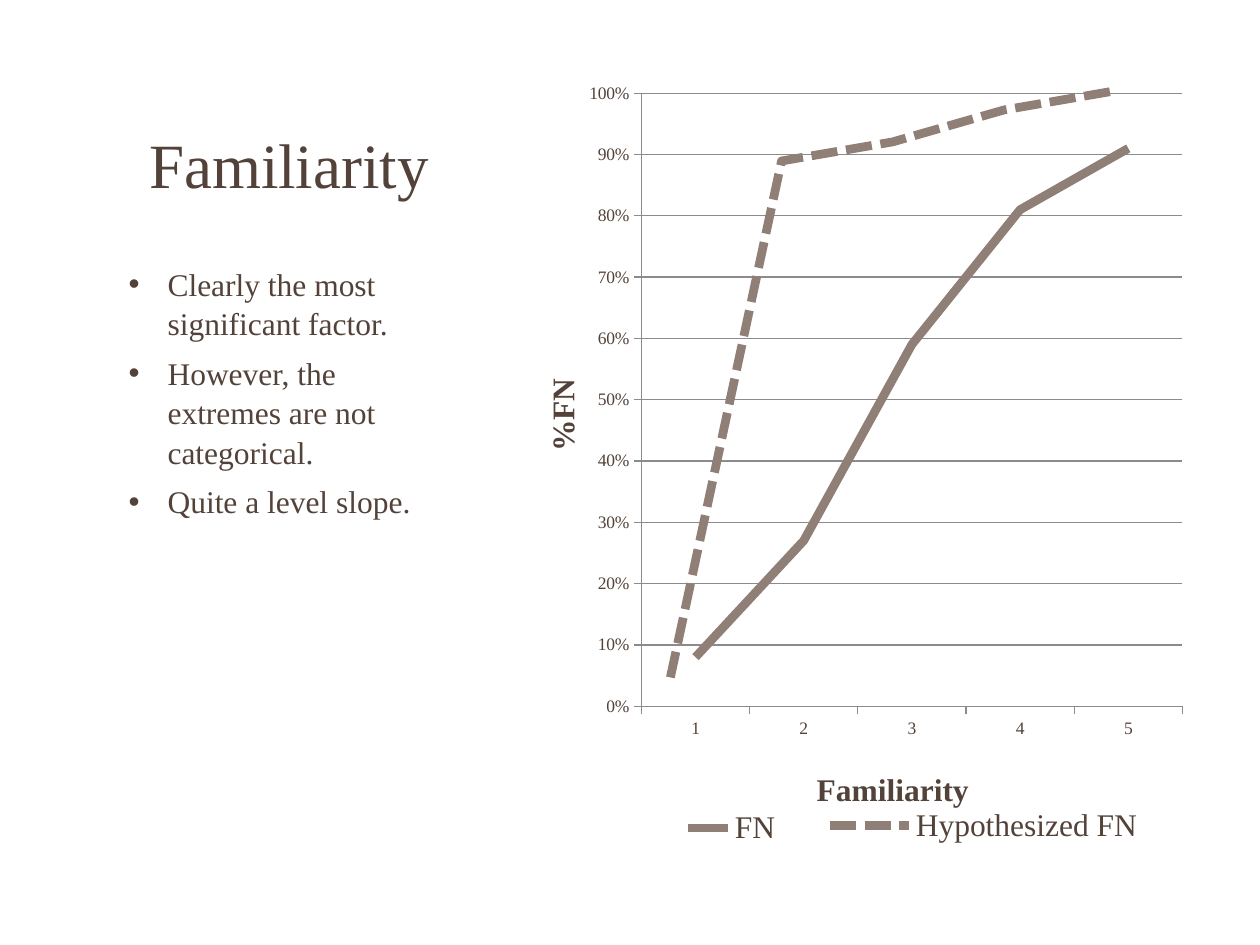
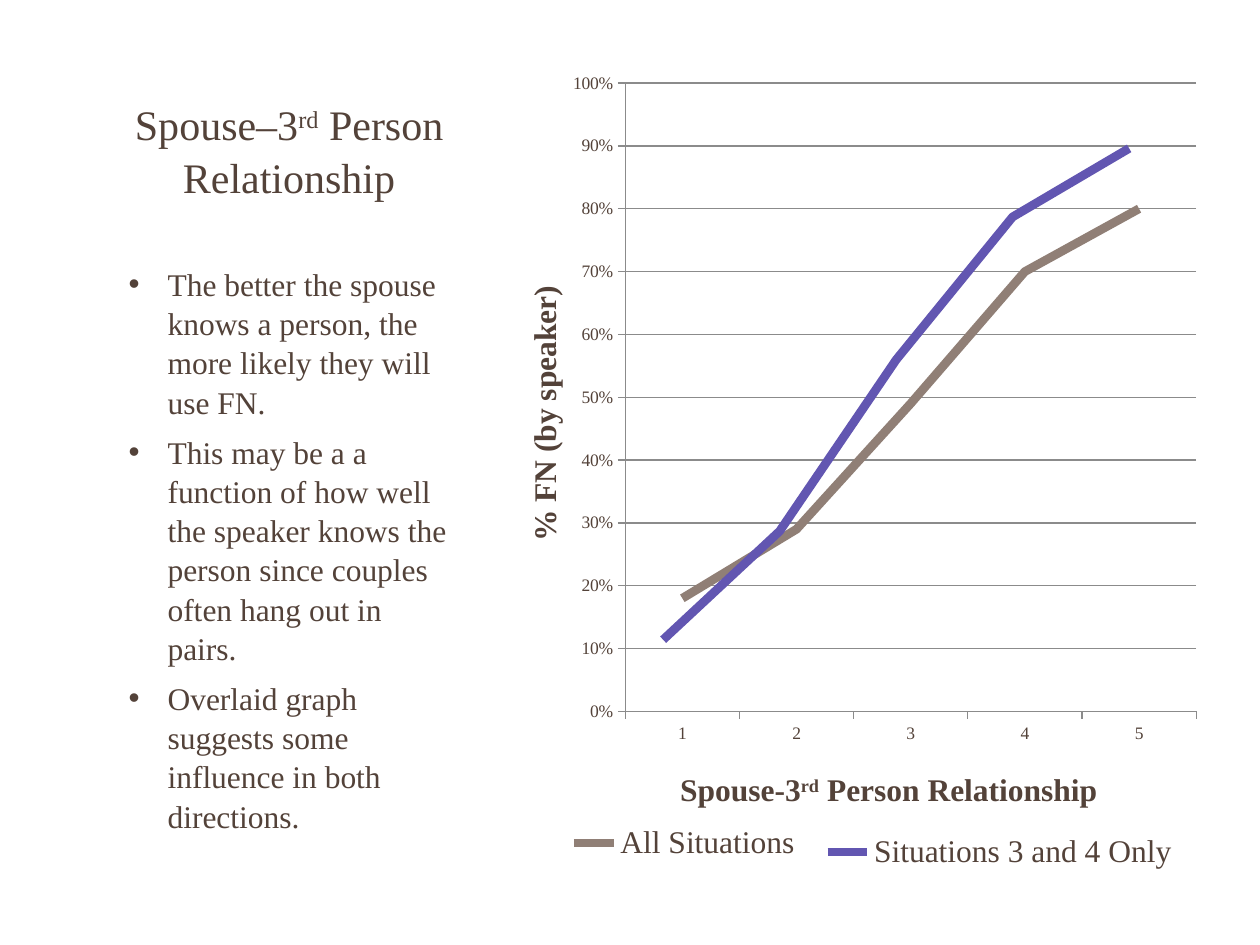
from lxml.etree import SubElement
from pptx import Presentation
from pptx.chart.data import CategoryChartData
from pptx.dml.color import RGBColor
from pptx.enum.chart import XL_CHART_TYPE, XL_LEGEND_POSITION, XL_TICK_MARK
from pptx.enum.dml import MSO_LINE
from pptx.enum.text import MSO_ANCHOR, MSO_AUTO_SIZE, PP_ALIGN
from pptx.oxml import parse_xml
from pptx.oxml.ns import nsdecls, qn
from pptx.util import Inches, Pt

BROWN = RGBColor(0x53, 0x42, 0x39)
TAUPE = RGBColor(0x90, 0x7F, 0x76)
VIOLET = RGBColor(0x62, 0x56, 0xB1)
GRID_GREY = RGBColor(0x8B, 0x8B, 0x8B)
WHITE = RGBColor(0xFF, 0xFF, 0xFF)
FONT = "Times New Roman"
SLIDE_WIDTH, SLIDE_HEIGHT = Inches(10), Inches(7.5)
TEXT_LEFT, TEXT_WIDTH = 0.092, 0.275
TITLE_BOX = (TEXT_LEFT, 0.133, TEXT_WIDTH, 0.087)
RATINGS = ["1", "2", "3", "4", "5"]
LINE_SPACING = 1.04
SUPERSCRIPT = "30000"

FAMILIARITY = dict(
    title=["Familiarity"], title_size=36, points_height=0.587,
    points=["Clearly the most significant factor.",
            "However, the extremes are not categorical.",
            "Quite a level slope."],
    measured=dict(
        box=(0.403, 0.071, 0.547, 0.865), name="FN",
        values=[0.08, 0.27, 0.59, 0.81, 0.91], color=TAUPE, top=1,
        plot=(0.194, 0.032, 0.785, 0.75), legend=(0.25, 0.906, 0.15, 0.05),
        rating_title=(["Familiarity"], 0.44, 0.853),
        share_title=(["%FN"], 0.043, 0.374)),
    overlaid=dict(
        box=(0.434, 0.072, 0.529, 0.864), name="Hypothesized FN",
        values=[8, 89, 92, 97, 100], color=TAUPE, top=100, dash=MSO_LINE.SQUARE_DOT,
        plot=(0.102, 0.028, 0.834, 0.781), legend=(0.41, 0.903, 0.49, 0.05)))

SPOUSE_CHART_BOX = (0.383, 0.06, 0.578, 0.875)
SPOUSE = dict(
    title=["Spouse–3", "rd", " Person Relationship"], title_size=24, points_height=0.663,
    points=["The better the spouse knows a person, the more likely they will use FN.",
            "This may be a a function of how well the speaker knows the person "
            "since couples often hang out in pairs.",
            "Overlaid graph suggests some influence in both directions."],
    measured=dict(
        box=SPOUSE_CHART_BOX, name="All Situations",
        values=[0.18, 0.29, 0.49, 0.7, 0.8], color=TAUPE, top=1,
        plot=(0.196, 0.032, 0.784, 0.76), legend=(0.117, 0.926, 0.32, 0.05),
        rating_title=(["Spouse-3", "rd", " Person Relationship"], 0.266, 0.86),
        share_title=(["% FN (by speaker)"], 0.05, 0.27)),
    overlaid=dict(
        box=SPOUSE_CHART_BOX, name="Situations 3 and 4 Only",
        values=[14, 33, 63, 88, 100], color=VIOLET, top=112,
        plot=(0.168, 0.028, 0.8, 0.774), legend=(0.465, 0.937, 0.49, 0.05)))


def apply_format(target, **values):
    for key, value in values.items():
        setattr(target, key, value)


def apply_font(font, size, bold=False):
    apply_format(font, name=FONT, size=Pt(size), bold=bold)
    font.color.rgb = BROWN


def to_lengths(box):
    sides = (SLIDE_WIDTH, SLIDE_HEIGHT) * 2
    return [round(share * side) for share, side in zip(box, sides)]


def place(region, box):
    apply_format(region, **dict(zip(("left", "top", "width", "height"), to_lengths(box))))


def write_runs(paragraph, parts, size, bold=False):
    for part in parts:
        run = paragraph.add_run()
        run.text = part
        apply_font(run.font, size, bold)
        if part == "rd":
            run.font._element.set("baseline", SUPERSCRIPT)


def add_title(slide, box, parts, size):
    heading = slide.shapes.title
    place(heading, box)
    apply_format(heading.text_frame, vertical_anchor=MSO_ANCHOR.BOTTOM,
                 auto_size=MSO_AUTO_SIZE.NONE, word_wrap=True)
    paragraph = heading.text_frame.paragraphs[0]
    apply_format(paragraph, alignment=PP_ALIGN.CENTER, line_spacing=LINE_SPACING)
    write_runs(paragraph, parts, size)


def add_points(slide, box, points):
    body = slide.placeholders[1]
    place(body, box)
    frame = body.text_frame
    apply_format(frame, auto_size=MSO_AUTO_SIZE.NONE, word_wrap=True,
                 vertical_anchor=MSO_ANCHOR.TOP)
    for index, point in enumerate(points):
        paragraph = frame.add_paragraph() if index else frame.paragraphs[0]
        apply_format(paragraph, space_before=Pt(6), line_spacing=LINE_SPACING)
        write_runs(paragraph, [point], 18)
        properties = paragraph._p.get_or_add_pPr()
        properties.set("marL", str(Inches(0.31)))
        properties.set("indent", str(-Inches(0.31)))
        SubElement(properties, qn("a:buChar")).set("char", "•")


def set_layout(element, shares, inner=False):
    for previous in element.findall(qn("c:layout")):
        element.remove(previous)
    layout = parse_xml(f"<c:layout {nsdecls('c')}><c:manualLayout/></c:layout>")
    settings = [("layoutTarget", "inner")] if inner else []
    settings += [("xMode", "edge"), ("yMode", "edge")]
    settings += zip("xywh", shares)
    for tag, value in settings:
        SubElement(layout[0], qn(f"c:{tag}")).set("val", str(value))
    overlay = element.find(qn("c:overlay"))
    if overlay is None:
        element.insert(0, layout)
    else:
        overlay.addprevious(layout)


def clear_background(chart):
    chart_element = chart._chartSpace.find(qn("c:chart"))
    no_fill = (f"<c:spPr {nsdecls('c', 'a')}><a:noFill/>"
               "<a:ln><a:noFill/></a:ln></c:spPr>")
    chart_element.addnext(parse_xml(no_fill))
    chart_element.find(qn("c:plotArea")).append(parse_xml(no_fill))


def add_axis_title(axis, parts, left, top, rotation=0):
    title = axis.axis_title
    write_runs(title.text_frame.paragraphs[0], parts, 18, bold=True)
    title.text_frame._txBody.find(qn("a:bodyPr")).set("rot", str(rotation * 60000))
    set_layout(title._element, (left, top))


def style_axes(chart, rating_title, share_title):
    ratings, shares = chart.category_axis, chart.value_axis
    for axis in (ratings, shares):
        apply_format(axis, major_tick_mark=XL_TICK_MARK.OUTSIDE,
                     minor_tick_mark=XL_TICK_MARK.NONE)
        axis.format.line.color.rgb = GRID_GREY
        apply_font(axis.tick_labels.font, 10)
    shares.major_unit = 0.1
    apply_format(shares.tick_labels, number_format="0%", number_format_is_linked=False)
    shares.major_gridlines.format.line.color.rgb = GRID_GREY
    add_axis_title(ratings, *rating_title)
    add_axis_title(shares, *share_title, rotation=-90)


def add_line_chart(slide, box, name, values, color, top, plot, legend,
                   dash=None, rating_title=None, share_title=None):
    data = CategoryChartData(number_format="0%")
    data.categories = RATINGS
    data.add_series(name, values)
    chart = slide.shapes.add_chart(XL_CHART_TYPE.LINE, *to_lengths(box), data).chart
    apply_format(chart, has_title=False, has_legend=True)
    apply_font(chart.font, 10)
    apply_format(chart.legend, position=XL_LEGEND_POSITION.BOTTOM, include_in_layout=False)
    apply_font(chart.legend.font, 18)
    chart.plots[0].vary_by_categories = False
    series = chart.plots[0].series[0]
    series.smooth = False
    series.format.line.color.rgb = color
    apply_format(series.format.line, width=Pt(5), dash_style=dash)
    apply_format(chart.value_axis, minimum_scale=0, maximum_scale=top,
                 has_major_gridlines=rating_title is not None)
    if rating_title:
        style_axes(chart, rating_title, share_title)
    else:
        for axis in (chart.category_axis, chart.value_axis):
            axis.visible = False
    set_layout(chart.legend._element, legend)
    set_layout(chart._chartSpace.find(qn("c:chart")).find(qn("c:plotArea")), plot, inner=True)
    clear_background(chart)


def add_factor_slide(deck, title, title_size, points, points_height, measured, overlaid):
    slide = deck.slides.add_slide(deck.slide_layouts[1])
    slide.background.fill.solid()
    slide.background.fill.fore_color.rgb = WHITE
    add_title(slide, TITLE_BOX, title, title_size)
    add_points(slide, (TEXT_LEFT, 0.272, TEXT_WIDTH, points_height), points)
    for curve in (measured, overlaid):
        add_line_chart(slide, **curve)


def main():
    deck = Presentation()
    apply_format(deck, slide_width=SLIDE_WIDTH, slide_height=SLIDE_HEIGHT)
    for factor in (FAMILIARITY, SPOUSE):
        add_factor_slide(deck, **factor)
    deck.save("out.pptx")


if __name__ == "__main__":
    main()
